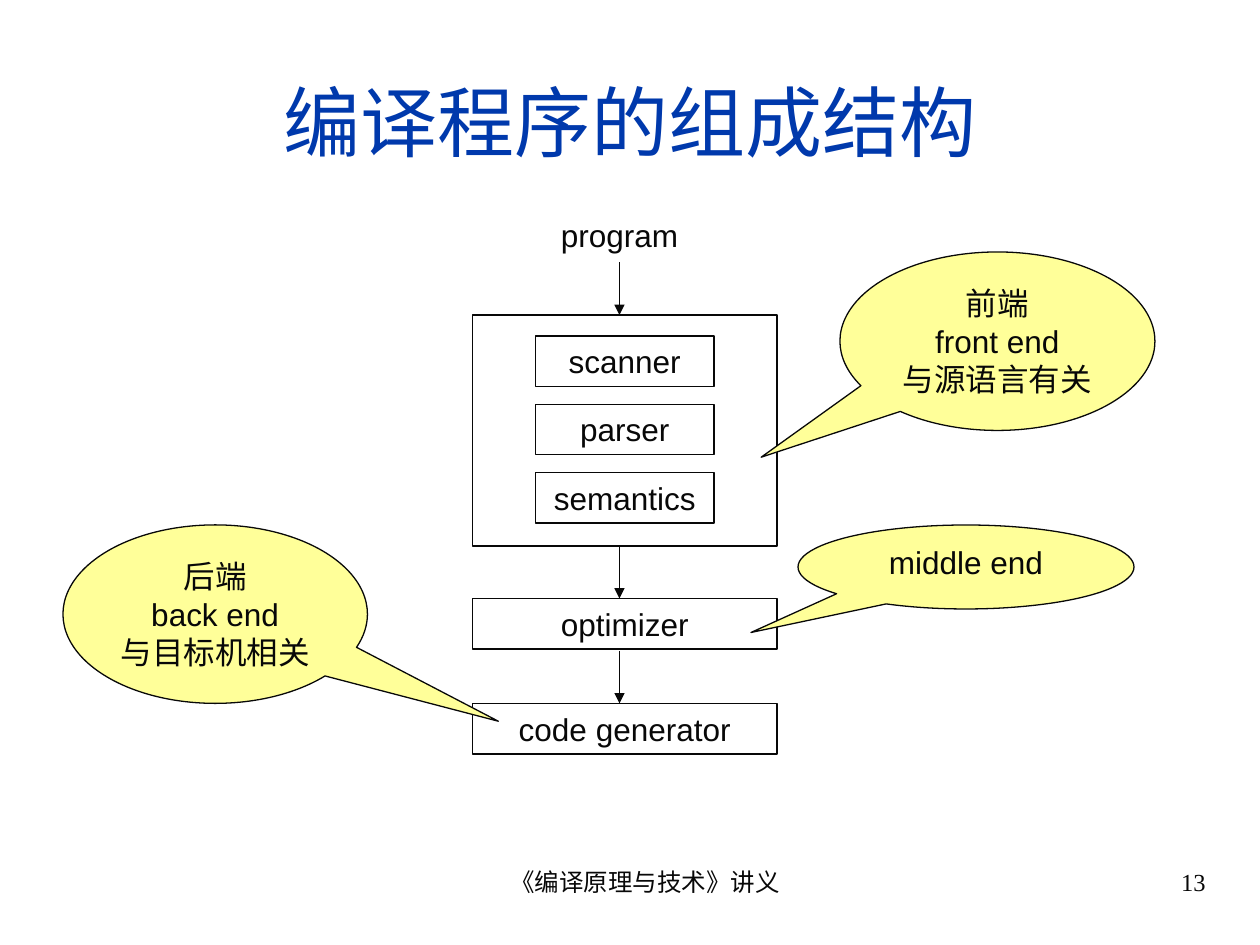
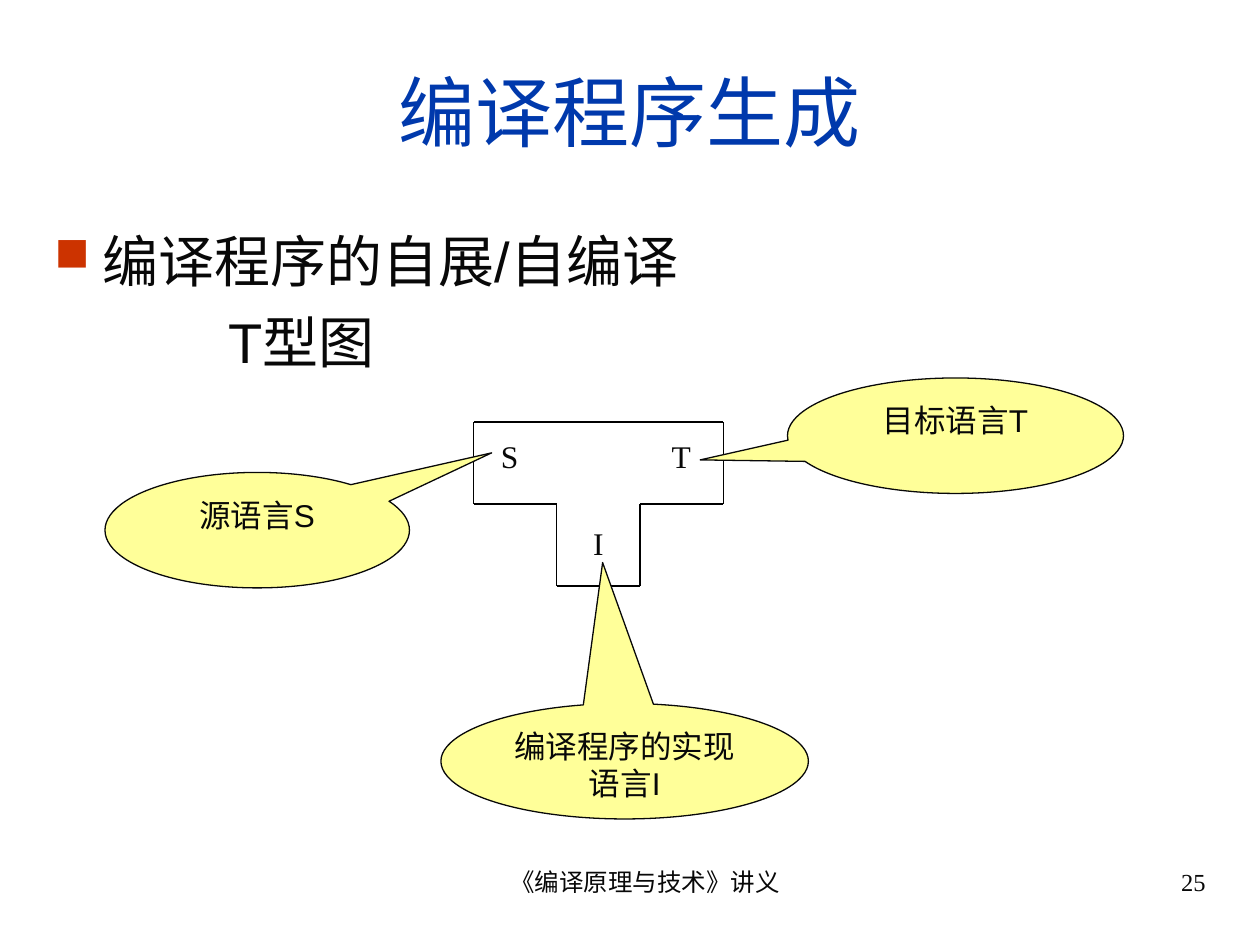
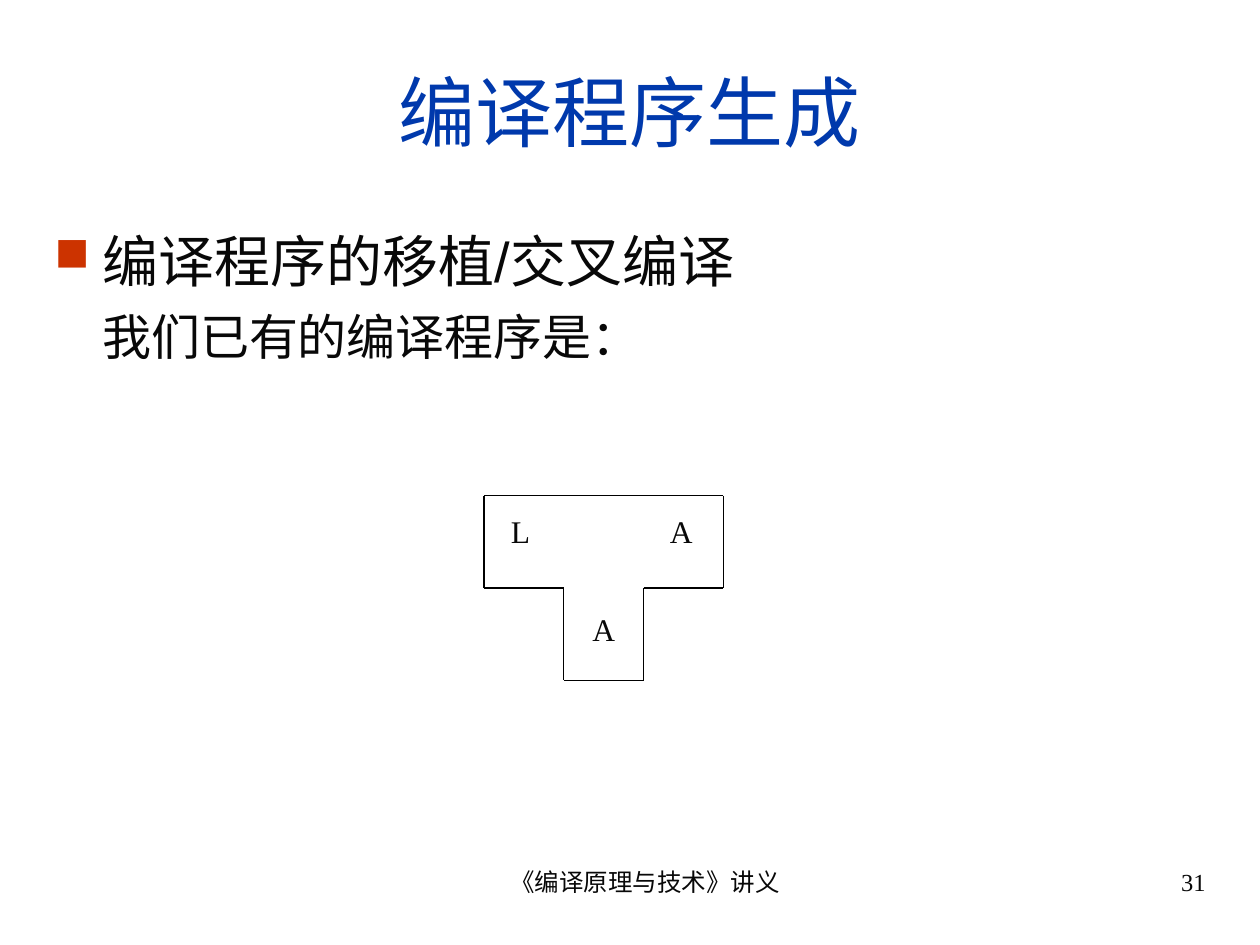
from itertools import pairwise

from pptx import Presentation
from pptx.dml.color import RGBColor
from pptx.enum.shapes import MSO_CONNECTOR, MSO_SHAPE
from pptx.enum.text import MSO_ANCHOR, PP_ALIGN
from pptx.oxml import parse_xml
from pptx.oxml.ns import nsdecls, qn
from pptx.util import Inches, Pt

COLS, ROWS = 120, 90
WIDTH, HEIGHT = Inches(10), Inches(7.5)
BLUE, INK, BLACK, RED, YELLOW = "0039AC", "080808", "000000", "CC3300", "FFFF99"
SANS, SERIF = "Arial", "Times New Roman"
LEFT, MID, RIGHT = PP_ALIGN.LEFT, PP_ALIGN.CENTER, PP_ALIGN.RIGHT
ROW = 4.83  # height of a one-line box


def tint(code):
    return RGBColor.from_string(code)


def place(*cells):
    """Turn alternating columns and rows into slide lengths."""
    return [round(c * (HEIGHT / ROWS if i % 2 else WIDTH / COLS))
            for i, c in enumerate(cells)]


def attach(parent, xml):
    tag, _, rest = xml.partition(" ")
    parent.append(parse_xml(f"<a:{tag} {nsdecls('a')} {rest}"))


def write(para, text, size=18, font=SANS, color=INK, align=MID):
    para.alignment = align
    run = para.add_run()
    run.text = text
    run.font.size, run.font.name = Pt(size), font
    run.font.color.rgb = tint(color)


def indent(para, left, first=0):
    props = para._p.get_or_add_pPr()
    props.set("marL", str(Inches(left)))
    props.set("indent", str(Inches(first)))
    return props


def label(shapes, box, text, pad=(0.1, 0.05), **style):
    """Add a text box with one paragraph and return that paragraph."""
    frame = shapes.add_textbox(*place(*box)).text_frame
    frame.word_wrap = True
    frame.margin_left = frame.margin_right = Inches(pad[0])
    frame.margin_top = frame.margin_bottom = Inches(pad[1])
    write(frame.paragraphs[0], text, **style)
    return frame.paragraphs[0]


def panel(slide, kind, box, lines=(), fill=None):
    """Add an outlined shape with one centred paragraph per line."""
    shape = slide.shapes.add_shape(kind, *place(*box))
    shape.shadow.inherit = False
    if fill:
        shape.fill.solid()
        shape.fill.fore_color.rgb = tint(fill)
    else:
        shape.fill.background()
    shape.line.color.rgb, shape.line.width = tint(INK), Pt(0.75)
    frame = shape.text_frame
    frame.word_wrap, frame.vertical_anchor = True, MSO_ANCHOR.TOP
    for i, text in enumerate(lines):
        write(frame.add_paragraph() if i else frame.paragraphs[0], text)
    return shape


def callout(slide, box, tip, *lines):
    shape = panel(slide, MSO_SHAPE.OVAL_CALLOUT, box, lines, YELLOW)
    shape.adjustments[0], shape.adjustments[1] = tip


def stroke(shapes, start, end, color=INK, arrow=False):
    line = shapes.add_connector(MSO_CONNECTOR.STRAIGHT, *place(*start, *end))
    line.line.color.rgb, line.line.width = tint(color), Pt(0.75)
    props = line._element.spPr
    if arrow:
        attach(props.find(qn("a:ln")), 'tailEnd type="triangle"/>')
    attach(props, "effectLst />")


def base(deck, title, page, tall=15):
    """Add a slide with its title, footer and page number."""
    slide = deck.slides.add_slide(deck.slide_layouts[6])
    head = slide.shapes.add_textbox(*place(4, 3, 112, tall)).text_frame
    head.word_wrap, head.vertical_anchor = True, MSO_ANCHOR.MIDDLE
    write(head.paragraphs[0], title, 44, color=BLUE)
    for left, wide, text, align in ((41, 38, "《编译原理与技术》讲义", MID),
                                    (86, 30, str(page), RIGHT)):
        para = label(slide.shapes, (left, 82, wide, 6.2), text,
                     size=14, font=SERIF, align=align)
        indent(para, 0.24)
    return slide


def body(slide, box, point, note, size, left, gap):
    """Add a bulleted point and an indented note below it."""
    first = label(slide.shapes, box, point, size=32, align=LEFT)
    props = indent(first, 0.38, -0.38)
    attach(props, f'buClr ><a:srgbClr val="{RED}"/></a:buClr>')
    attach(props, 'buSzPct val="85000"/>')
    attach(props, 'buChar char="■"/>')
    second = first._parent.add_paragraph()
    indent(second, left)
    second.space_before = Pt(gap)
    write(second, note, size, align=LEFT)


def flow(slide, left, top, wide):
    """Draw the compiler stages from the program down to the code."""
    rect, axis = MSO_SHAPE.RECTANGLE, left + 14
    panel(slide, rect, (left, top + 10, wide, 22))
    for i, name in enumerate(("scanner", "parser", "semantics")):
        panel(slide, rect, (left + 6, top + 12 + 6.5 * i, wide - 12, ROW), [name])
    for row, name in ((37, "optimizer"), (47, "code generator")):
        panel(slide, rect, (left, top + row, wide, ROW), [name])
    label(slide.shapes, (axis - 11, top, 22, ROW), "program")
    for row in (5, 32, 42):
        stroke(slide.shapes, (axis, top + row), (axis, top + row + 5), arrow=True)


def tee(slide, box, source, target, host):
    """Draw a T diagram on a grid of three columns and two rows."""
    x, y, w, h = box
    shapes = slide.shapes.add_group_shape().shapes
    turns = ((0, 0), (0, 1), (1, 1), (1, 2), (2, 2), (2, 1), (3, 1), (3, 0), (0, 0))
    points = [(x + c * w / 3, y + r * h / 2) for c, r in turns]
    for start, end in pairwise(points):
        stroke(shapes, start, end, BLACK)
    arm = label(shapes, (x + 0.06 * w, y + 0.09 * h, 0.89 * w, h / 3),
                f"{source}\t{target}", (0.1, 0), font=SERIF, align=LEFT)
    stop = place(0.76 * w)[0]
    attach(arm._p.get_or_add_pPr(),
           f'tabLst ><a:tab pos="{stop}" algn="r"/></a:tabLst>')
    label(shapes, (x + 0.39 * w, y + 0.62 * h, 0.22 * w, h / 3),
          host, (0, 0), font=SERIF)


def main():
    deck = Presentation()
    deck.slide_width, deck.slide_height = WIDTH, HEIGHT

    parts = base(deck, "编译程序的组成结构", 13, 17)
    flow(parts, 45, 20, 29)
    callout(parts, (80, 24, 30, 17), (-0.75, 0.65),
            "前端", "front end", "与源语言有关")
    callout(parts, (76, 50, 32, 8), (-0.64, 0.78), "middle end")
    callout(parts, (6, 50, 29, 17), (0.93, 0.6),
            "后端", "back end", "与目标机相关")

    text = (4, 21, 112, 16)
    boot = base(deck, "编译程序生成", 25)
    body(boot, text, "编译程序的自展/自编译", "T型图", 32, 1.38, 8)
    tee(boot, (45.1, 40.2, 23.8, 15.6), "S", "T", "I")
    callout(boot, (10, 45, 29, 11), (0.77, -0.67), "源语言S")
    callout(boot, (75, 36, 32, 11), (-0.76, 0.21), "目标语言T")
    callout(boot, (42, 67, 35, 11), (-0.06, -1.72), "编译程序的实现语言I")

    port = base(deck, "编译程序生成", 31)
    body(port, text, "编译程序的移植/交叉编译", "我们已有的编译程序是：", 28, 0.38, 7)
    tee(port, (46.1, 47.2, 22.8, 17.6), "L", "A", "A")

    deck.save("out.pptx")


if __name__ == "__main__":
    main()
